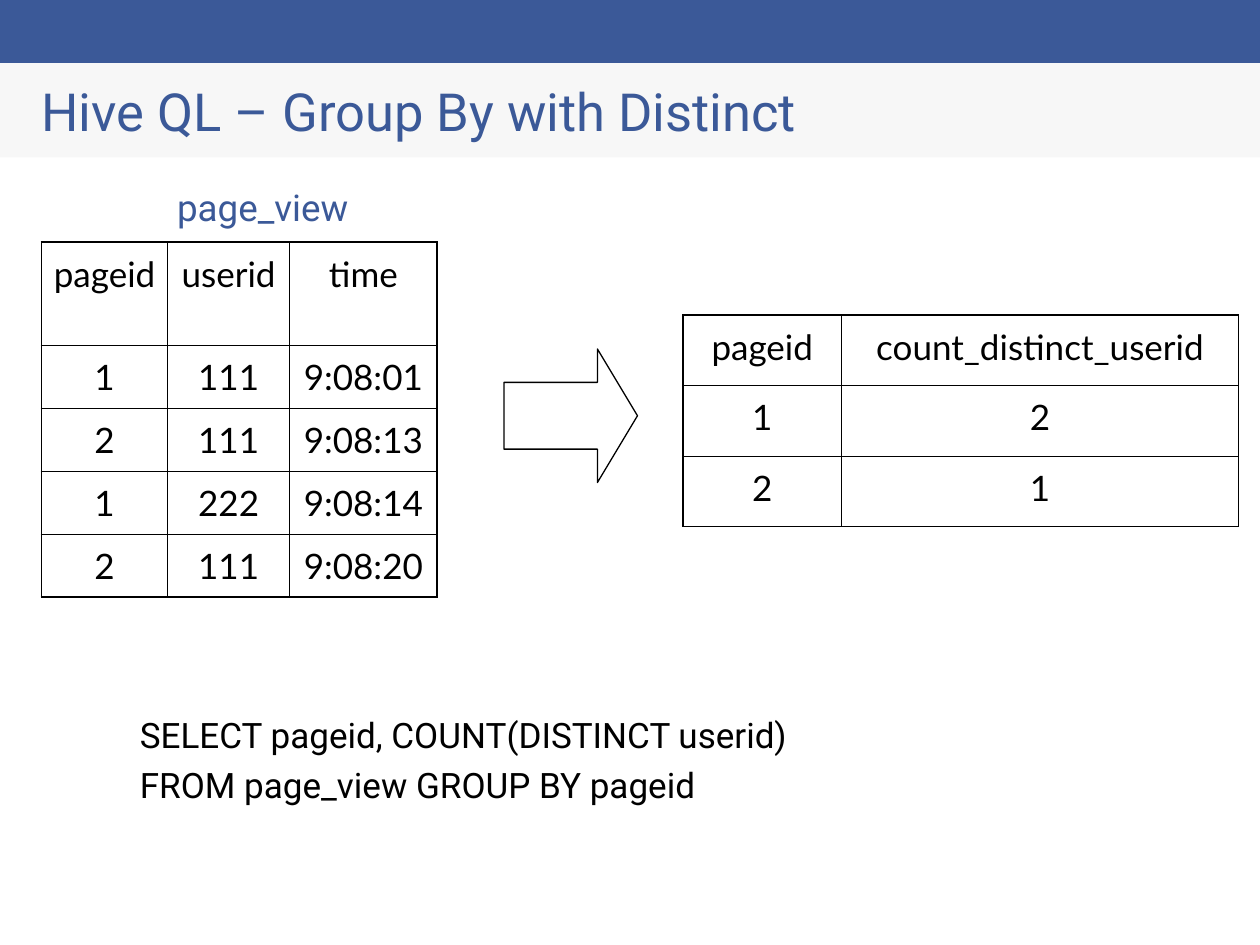
from lxml.etree import SubElement as Sub
from pptx import Presentation
from pptx.dml.color import RGBColor as RGB
from pptx.enum.shapes import MSO_SHAPE as Kind
from pptx.enum.text import MSO_ANCHOR as Anchor, PP_ALIGN as Align
from pptx.oxml.ns import qn
from pptx.util import Inches as In, Pt

WIDE, HIGH = 10, 7.5
BLUE, PALE, WHITE, BLACK = "3B5998", "F7F7F7", "FFFFFF", "000000"
THICK, THIN = 1.08, 0.45

BANDS = [
    ((0, 0.5, WIDE, 0.75), PALE),
    ((0, 0, WIDE, 0.5), BLUE),
]
TEXTS = [
    {"at": (0.33, 0.5, 9.33, 0.75), "lines": ["Hive QL – Group By with Distinct"],
     "font": ("Roboto", 30, BLUE), "anchor": Anchor.MIDDLE},
    {"at": (0.61, 5.09, 8.78, 1.9),
     "lines": ["SELECT pageid, COUNT(DISTINCT userid)", "FROM page_view GROUP BY pageid"],
     "font": ("Roboto", 20, BLACK), "pad": (0.5, 0.57, 0, 0)},
    {"at": (1.29, 1.43, 1.59, 0.43), "lines": ["page_view"], "font": ("Roboto", 21, BLUE),
     "pad": (0.08, 0.04, 0.08, 0.04), "align": Align.CENTER, "wrap": False},
]
TABLES = [
    {"at": (0.33, 1.92), "cols": [1, 0.97, 1.17], "rows": [0.82] + [0.5] * 4,
     "data": [("pageid", "userid", "time"),
              ("1", "111", "9:08:01"),
              ("2", "111", "9:08:13"),
              ("1", "222", "9:08:14"),
              ("2", "111", "9:08:20")]},
    {"at": (5.42, 2.5), "cols": [1.26, 3.15], "rows": [0.56] * 3,
     "data": [("pageid", "count_distinct_userid"), ("1", "2"), ("2", "1")]},
]
ARROW = (4, 2.77, 1.06, 1.06)


def color(code):
    """Turn a hex string into a colour."""
    return RGB.from_string(code)


def assign(item, values):
    """Set each named attribute on an item."""
    for name, value in values.items():
        setattr(item, name, value)


def paint(item, code):
    """Give an item a solid fill."""
    item.fill.solid()
    item.fill.fore_color.rgb = color(code)


def style(par, face, size, code):
    """Set the font of a paragraph."""
    assign(par.font, {"name": face, "size": Pt(size)})
    par.font.color.rgb = color(code)


def sides(pad):
    """Map left, top, right and bottom padding to margin names."""
    names = ("margin_left", "margin_top", "margin_right", "margin_bottom")
    return dict(zip(names, map(In, pad)))


def add_form(slide, kind, at, code):
    """Add a filled preset shape without outline or shadow."""
    form = slide.shapes.add_shape(kind, *map(In, at))
    form.shadow.inherit = False
    paint(form, code)
    form.line.fill.background()
    return form


def add_text(slide, at, lines, font, pad=(0, 0, 0, 0), align=Align.LEFT,
             anchor=Anchor.TOP, wrap=True):
    """Add a text box with one paragraph per line."""
    frame = slide.shapes.add_textbox(*map(In, at)).text_frame
    assign(frame, {"word_wrap": wrap, "vertical_anchor": anchor, **sides(pad)})
    frame.text = "\n".join(lines)
    for i, par in enumerate(frame.paragraphs):
        assign(par, {"alignment": align, "space_before": Pt(5 if i else 0)})
        style(par, *font)


def add_edge(cell, side, width):
    """Draw one border of a cell."""
    props = cell._tc.get_or_add_tcPr()
    edge = Sub(props, qn(f"a:ln{side}"), w=str(Pt(width)))
    Sub(Sub(edge, qn("a:solidFill")), qn("a:srgbClr"), val=BLACK)


def add_grid(slide, at, cols, rows, data):
    """Add a table with a thick frame and thin inner rules."""
    size = sum(cols), sum(rows)
    table = slide.shapes.add_table(len(rows), len(cols), *map(In, at + size)).table
    assign(table, {"first_row": False, "horz_banding": False})
    for col, width in zip(table.columns, cols):
        col.width = In(width)
    for row, height in zip(table.rows, rows):
        row.height = In(height)
    for r, line in enumerate(data):
        for c, word in enumerate(line):
            cell = table.cell(r, c)
            assign(cell, {"text": word, **sides((0.07, 0.05, 0.07, 0.05))})
            par = cell.text_frame.paragraphs[0]
            assign(par, {"alignment": Align.CENTER, "line_spacing": 1.1})
            style(par, "Lato", 20, BLACK)
            outer = {"L": c == 0, "R": c == len(cols) - 1,
                     "T": r == 0, "B": r == len(rows) - 1}
            for side, edge in outer.items():
                add_edge(cell, side, THICK if edge else THIN)
            paint(cell, WHITE)


def main():
    """Build and save the slide."""
    deck = Presentation()
    assign(deck, {"slide_width": In(WIDE), "slide_height": In(HIGH)})
    slide = deck.slides.add_slide(deck.slide_layouts[6])
    for at, code in BANDS:
        add_form(slide, Kind.RECTANGLE, at, code)
    for text in TEXTS:
        add_text(slide, **text)
    for grid in TABLES:
        add_grid(slide, **grid)
    arrow = add_form(slide, Kind.RIGHT_ARROW, ARROW, WHITE)
    arrow.adjustments[1] = 0.3
    arrow.line.color.rgb = color(BLACK)
    arrow.line.width = Pt(0.75)
    deck.save("out.pptx")


if __name__ == "__main__":
    main()
